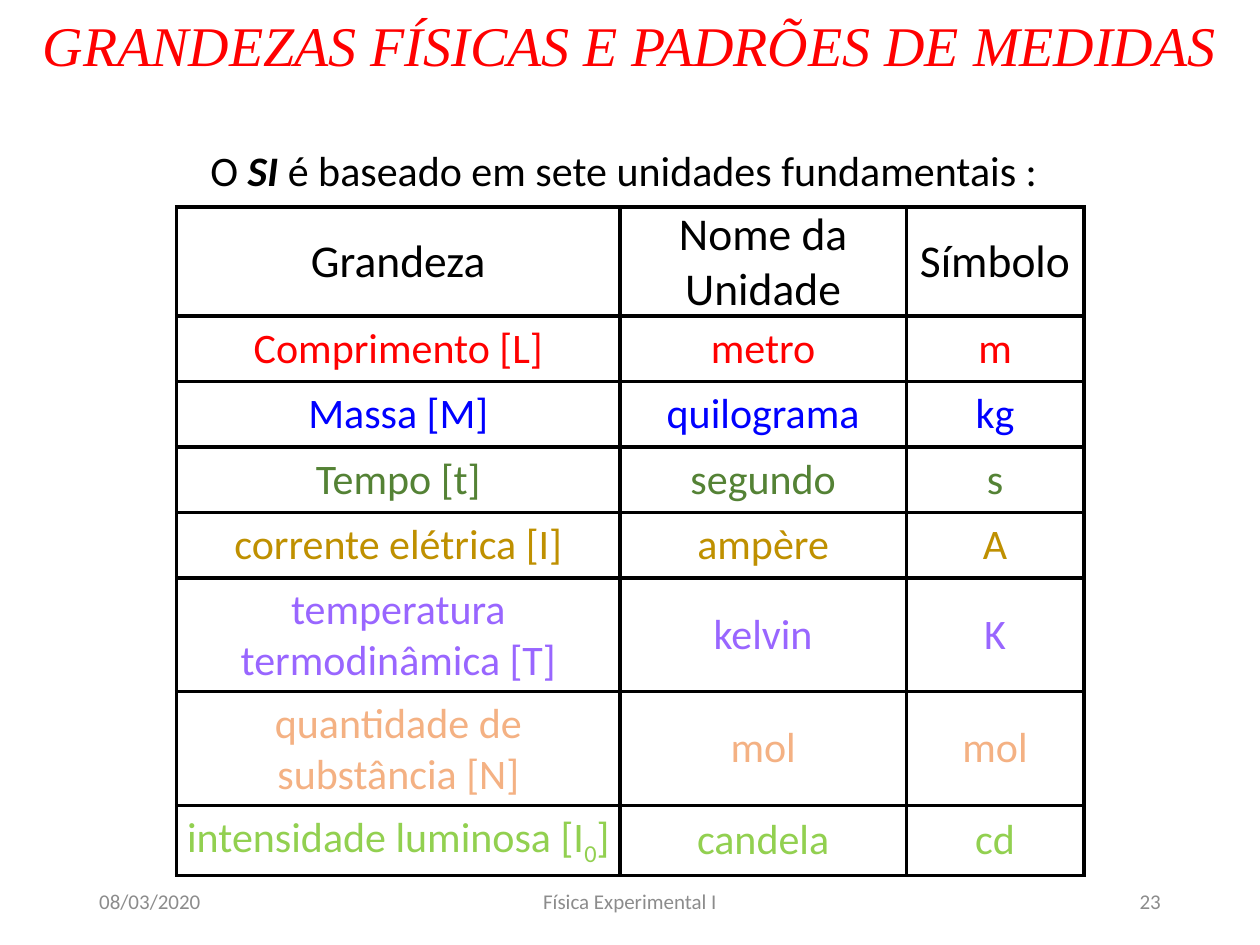
"""Build the slide on the seven base units of the SI."""
import lxml.etree
import pptx
import pptx.dml.color
import pptx.enum.text
import pptx.oxml.ns
import pptx.util

Cm, Pt = pptx.util.Cm, pptx.util.Pt
RGB = pptx.dml.color.RGBColor
ALIGN = pptx.enum.text.PP_ALIGN
MIDDLE = pptx.enum.text.MSO_ANCHOR.MIDDLE
TOP = pptx.enum.text.MSO_ANCHOR.TOP
qn = pptx.oxml.ns.qn

BLACK = RGB(0x00, 0x00, 0x00)
RED = RGB(0xFF, 0x00, 0x00)
BLUE = RGB(0x00, 0x00, 0xFF)
GREEN = RGB(0x54, 0x82, 0x35)
GOLD = RGB(0xBF, 0x90, 0x00)
PURPLE = RGB(0x99, 0x66, 0xFF)
PEACH = RGB(0xF4, 0xB1, 0x83)
LIME = RGB(0x92, 0xD0, 0x50)
GREY = RGB(0x8C, 0x8C, 0x8C)


def add_run(p, text, color, size, name="Calibri", **style):
    r = p.add_run()
    r.text = text
    r.font.color.rgb = color
    for key, value in dict(size=Pt(size), name=name, **style).items():
        setattr(r.font, key, value)
    return r


def add_text(left, top, width, height, align, anchor=MIDDLE, wrap=True):
    tf = s.shapes.add_textbox(Cm(left), Cm(top), Cm(width), Cm(height)).text_frame
    tf.word_wrap = wrap
    tf.vertical_anchor = anchor
    p = tf.paragraphs[0]
    p.alignment = align
    return p


prs = pptx.Presentation()
prs.slide_width, prs.slide_height = Cm(25.4), Cm(19.05)
s = prs.slides.add_slide(prs.slide_layouts[6])

p = add_text(3.99, 2.79, 17.35, 1.27, ALIGN.LEFT, TOP, wrap=False)
add_run(p, "O ", BLACK, 24)
add_run(p, "SI ", BLACK, 24, bold=True, italic=True)
add_run(p, "é baseado em sete unidades fundamentais :", BLACK, 24)

rows = [
    (1.96, BLACK, "Grandeza", "Nome da Unidade", "Símbolo"),
    (1.32, RED, "Comprimento [L]", "metro", "m"),
    (1.32, BLUE, "Massa [M]", "quilograma", "kg"),
    (1.32, GREEN, "Tempo [t]", "segundo", "s"),
    (1.32, GOLD, "corrente elétrica [I]", "ampère", "A"),
    (2.29, PURPLE, "temperatura termodinâmica [T]", "kelvin", "K"),
    (2.29, PEACH, "quantidade de substância [N]", "mol", "mol"),
    (1.32, LIME, "intensidade luminosa [I_0_]", "candela", "cd"),
]
widths = [8.94, 5.77, 3.58]
table = s.shapes.add_table(
    len(rows), len(widths), Cm(3.56), Cm(4.17), Cm(sum(widths)), Cm(13.41)
).table
table.first_row = table.horz_banding = False
for column, width in zip(table.columns, widths):
    column.width = Cm(width)

for i, (height, color, *texts) in enumerate(rows):
    table.rows[i].height = Cm(height)
    size, side, edge = (26, 0.15, 0) if i == 0 else (24, 0.13, 0.13)
    for j, text in enumerate(texts):
        cell = table.cell(i, j)
        cell.vertical_anchor = MIDDLE
        cell.margin_left = cell.margin_right = Cm(side)
        cell.margin_top = cell.margin_bottom = Cm(edge)
        p = cell.text_frame.paragraphs[0]
        p.alignment = ALIGN.CENTER
        for k, part in enumerate(text.split("_")):
            r = add_run(p, part, color, size)
            if k == 1:
                r.font._element.set("baseline", "-25000")
        tcPr = cell._tc.get_or_add_tcPr()
        for tag in ("a:lnL", "a:lnR", "a:lnT", "a:lnB"):
            ln = lxml.etree.SubElement(tcPr, qn(tag), w=str(Pt(2.25)))
            fill = lxml.etree.SubElement(ln, qn("a:solidFill"))
            lxml.etree.SubElement(fill, qn("a:srgbClr"), val=str(BLACK))
        cell.fill.background()

p = add_text(0, -0.86, 25.4, 3.68, ALIGN.CENTER)
p.line_spacing = 0.9
add_run(p, "GRANDEZAS FÍSICAS E PADRÕES DE MEDIDAS", RED, 32, "Times New Roman", italic=True)

for left, width, align, text in [
    (1.75, 5.72, ALIGN.LEFT, "08/03/2020"),
    (8.41, 8.58, ALIGN.CENTER, "Física Experimental I"),
    (17.93, 5.72, ALIGN.RIGHT, "23"),
]:
    add_run(add_text(left, 17.65, width, 1.02, align), text, GREY, 12)

prs.save("out.pptx")
